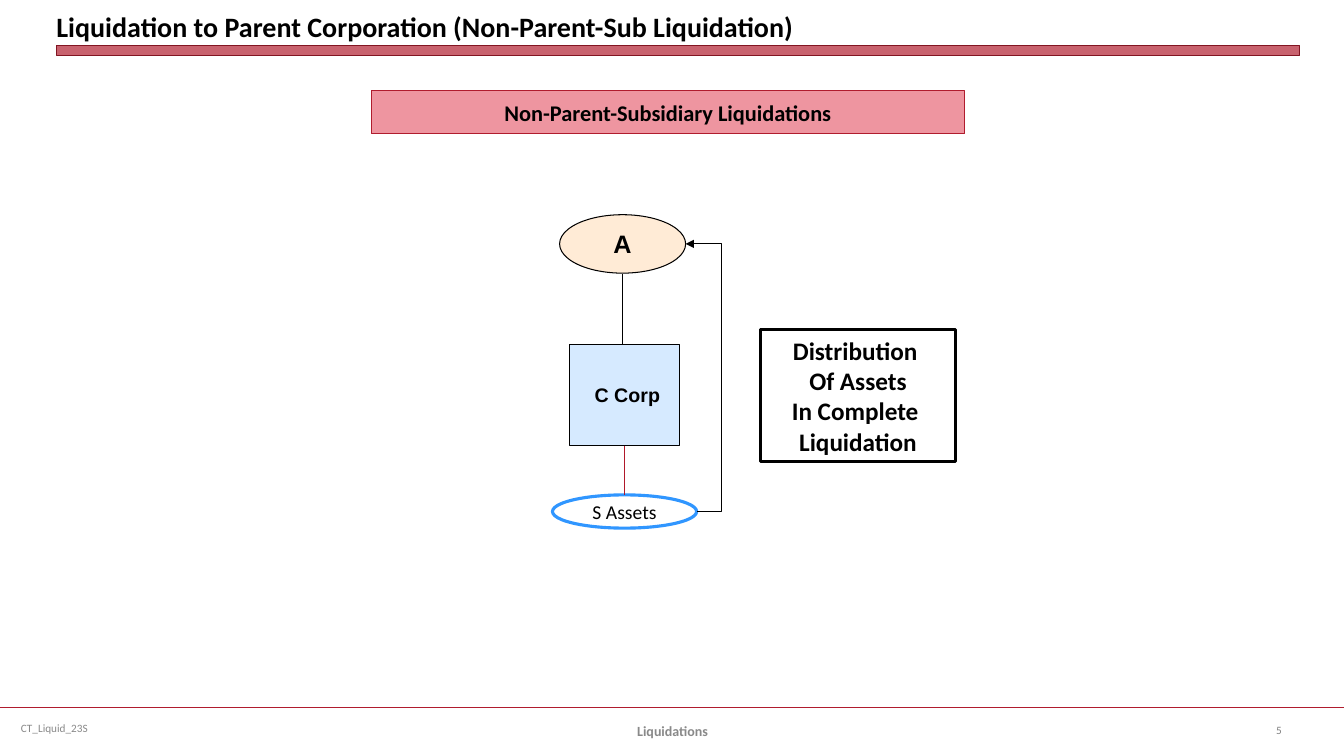
from pptx import Presentation
from pptx.dml.color import RGBColor
from pptx.enum.shapes import MSO_CONNECTOR as Link, MSO_SHAPE as Kind
from pptx.enum.text import MSO_ANCHOR as Anchor, PP_ALIGN as Align
from pptx.oxml.ns import qn
from pptx.util import Inches, Pt
from lxml.etree import SubElement

COLORS = {
    "black": "000000", "red": "B01C2E", "wine": "821522", "rose": "EE95A0",
    "stem": "B0182A", "peach": "FFEBD6", "sky": "D6EAFF", "blue": "3096FF",
    "gray": "898989", "dim": "808080",
}


def rgb(name):
    return RGBColor.from_string(COLORS[name])


def write(shape, text, size, color="black", bold=False, font="Calibri",
          align=Align.CENTER, wrap=True, anchor=Anchor.MIDDLE):
    frame = shape.text_frame
    frame.word_wrap = wrap
    frame.vertical_anchor = anchor
    frame.text = text
    for para in frame.paragraphs:
        para.alignment = align
        para.font.name = font
        para.font.size = Pt(size)
        para.font.bold = bold
        para.font.color.rgb = rgb(color)
    return frame


def label(slide, box, text, size, **style):
    area = slide.shapes.add_textbox(*map(Inches, box))
    return write(area, text, size, **style)


def block(slide, kind, box, fill=None, line="black", width=0.75):
    shape = slide.shapes.add_shape(kind, *map(Inches, box))
    shape.shadow.inherit = False
    if fill:
        shape.fill.solid()
        shape.fill.fore_color.rgb = rgb(fill)
    else:
        shape.fill.background()
    shape.line.color.rgb = rgb(line)
    shape.line.width = Pt(width)
    return shape


def join(slide, start, end, color="black", width=0.75, kind=Link.STRAIGHT):
    line = slide.shapes.add_connector(kind, *map(Inches, start + end))
    line.line.color.rgb = rgb(color)
    line.line.width = Pt(width)
    SubElement(line._element.spPr, qn("a:effectLst"))
    return line


def header(slide, box):
    x, y, w, h = box
    # Bar under the title
    bar = block(slide, Kind.RECTANGLE, (x, y + 0.45, w, 0.1), "red", "wine", 0)
    tint = bar._element.spPr.find(qn("a:solidFill"))[0]
    SubElement(tint, qn("a:alpha"), val="69000")
    # Title
    frame = label(slide, (x, y, w, 0.43),
                  "Liquidation to Parent Corporation (Non-Parent-Sub Liquidation)",
                  20, bold=True, align=Align.LEFT, anchor=Anchor.BOTTOM)
    frame.margin_left = frame.margin_right = 0
    frame.margin_top = frame.margin_bottom = 0
    # Subject banner
    banner = block(slide, Kind.RECTANGLE, (x + 3.12, y + 0.9, 5.89, 0.43),
                   "rose", "red")
    write(banner, "Non-Parent-Subsidiary Liquidations", 16, bold=True)


def diagram(slide, box):
    x, y, w, h = box
    # Owner, corporation and assets
    owner = block(slide, Kind.OVAL, (x + 0.07, y, 1.25, 0.58), "peach")
    write(owner, "A", 18, bold=True, font="Arial", wrap=False)
    join(slide, (x + 0.69, y + 1.29), (x + 0.69, y + 0.59))
    corp = block(slide, Kind.RECTANGLE, (x + 0.17, y + 1.29, 1.09, 1), "sky")
    write(corp, " C Corp", 14, bold=True, font="Arial", wrap=False)
    assets = block(slide, Kind.OVAL, (x, y + 2.78, 1.43, 0.33),
                   line="blue", width=2.25)
    write(assets, "S Assets", 14)
    join(slide, (x + 0.71, y + 2.29), (x + 0.71, y + 2.78), "stem")

    # Arrow from the assets back to the owner
    back = join(slide, (x + 1.43, y + 2.94), (x + 1.32, y + 0.29),
                kind=Link.ELBOW)
    bends = back._element.spPr.find(qn("a:prstGeom")).get_or_add_avLst()
    SubElement(bends, qn("a:gd"), name="adj1", fmla="val -220200")
    SubElement(back.line._get_or_add_ln(), qn("a:tailEnd"), type="triangle")

    # Note on the distribution
    note = block(slide, Kind.RECTANGLE, (x + w - 1.94, y + 1.14, 1.94, 1.31),
                 width=2)
    write(note, "Distribution \nOf Assets\nIn Complete \nLiquidation", 18,
          bold=True)


def footer(slide, box):
    x, y, w, h = box
    join(slide, (x, y), (x + w, y), "red", 1.25)
    label(slide, (x + 0.11, y, 3.44, h), "CT_Liquid_23S", 8,
          color="gray", align=Align.LEFT)
    label(slide, (x + 4.56, y + 0.03, 4.22, h), "Liquidations", 10,
          color="gray", bold=True)
    label(slide, (x + 12.56, y + 0.02, 0.67, h), "5", 8,
          color="dim", align=Align.LEFT)


def main():
    deck = Presentation()
    deck.slide_width = Inches(13.33)
    deck.slide_height = Inches(7.5)
    slide = deck.slides.add_slide(deck.slide_layouts[6])
    header(slide, (0.56, 0, 12.33, 1.33))
    diagram(slide, (5.48, 2.13, 4, 3.11))
    footer(slide, (0, 7.02, 13.33, 0.4))
    deck.save("out.pptx")


if __name__ == "__main__":
    main()
